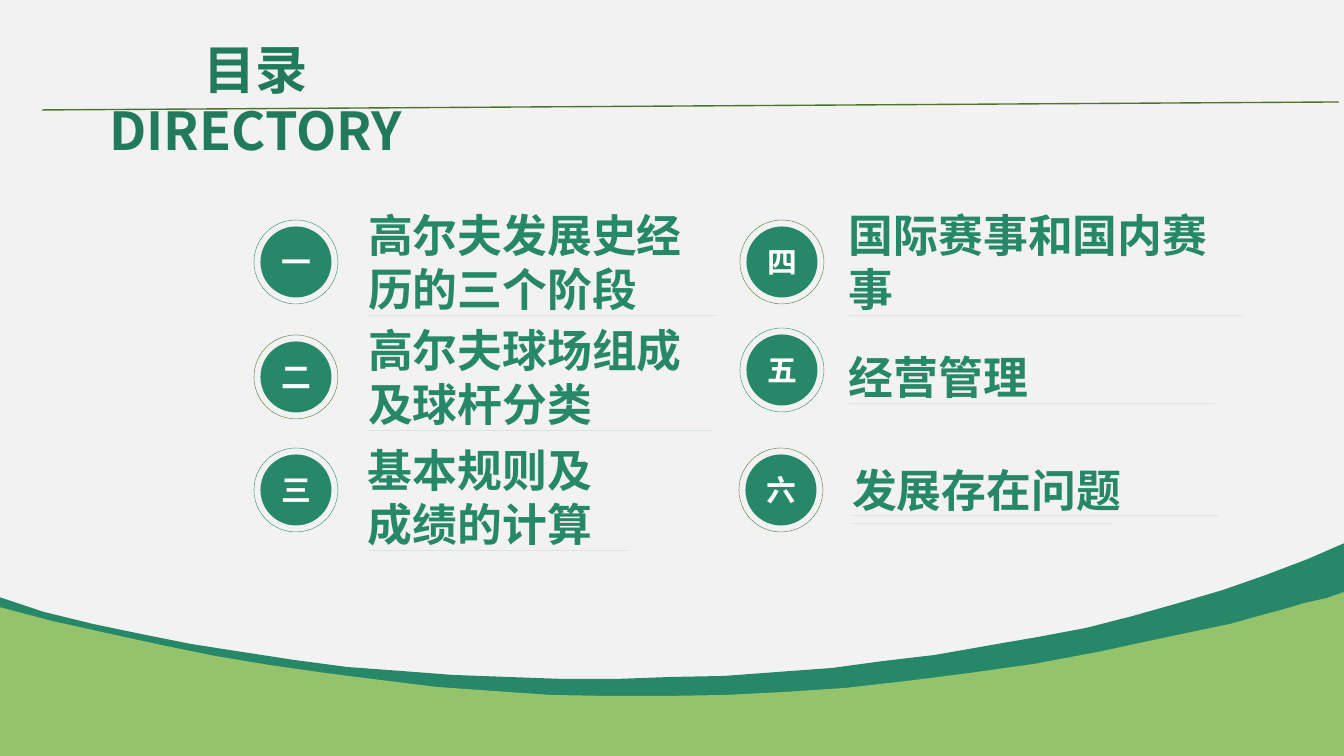
from lxml import etree
from pptx import Presentation
from pptx.dml.color import RGBColor
from pptx.enum.dml import MSO_LINE
from pptx.enum.shapes import MSO_CONNECTOR, MSO_SHAPE
from pptx.enum.text import MSO_ANCHOR, MSO_AUTO_SIZE, PP_ALIGN
from pptx.oxml.ns import qn
from pptx.util import Pt

STRAIGHT = MSO_CONNECTOR.STRAIGHT
OVAL = MSO_SHAPE.OVAL
DASH = MSO_LINE.SQUARE_DOT
TOP, MIDDLE = MSO_ANCHOR.TOP, MSO_ANCHOR.MIDDLE
LEFT, CENTER = PP_ALIGN.LEFT, PP_ALIGN.CENTER
NO_AUTOFIT = MSO_AUTO_SIZE.NONE

SCALE = 914400 / 134.4
WIDTH, HEIGHT = 1344, 756
DISC, RING = 71, 84
CJK_FONT = "Noto Sans CJK SC"
COLORS = {
    "background": "F2F2F2",
    "teal": "268868",
    "title": "227A5C",
    "grass": "95C36B",
    "olive": "50742F",
    "rule": "4E732C",
    "white": "FFFFFF",
}

ENTRIES = [
    ("一", "高尔夫发展史经历的三个阶段", (296, 262), (368, 207, 348, 109), "teal"),
    ("二", "高尔夫球场组成及球杆分类", (296, 377), (368, 322, 344, 109), "olive"),
    ("三", "基本规则及成绩的计算", (296, 490), (368, 442, 260, 109), "teal"),
    ("四", "国际赛事和国内赛事", (782, 262), (849, 207, 394, 109), "olive"),
    ("五", "经营管理", (782, 370), (849, 349, 366, 54), "teal"),
    ("六", "发展存在问题", (781, 490), (852, 462, 366, 54), "olive"),
]
SHORT_UNDERLINE = (852, 469, 260, 54)

TEAL_CURVE = [
    (1347, 542), (1308, 559), (1266, 575), (1223, 590), (1179, 603), (1133, 616),
    (1086, 628), (1038, 637), (986, 646), (935, 655), (884, 661), (832, 668),
    (778, 672), (724, 676), (671, 677), (617, 679), (562, 679), (508, 677),
    (453, 675), (401, 671), (347, 667), (294, 660), (242, 652), (191, 644),
    (141, 634), (93, 624), (44, 612), (-1, 597),
]
GRASS_CURVE = [
    (1347, 591), (1327, 598), (1305, 603), (1281, 610), (1255, 617), (1230, 624),
    (1163, 638), (1098, 652), (1034, 664), (970, 673), (907, 681), (845, 688),
    (785, 692), (726, 695), (667, 696), (607, 696), (551, 695), (493, 691),
    (437, 687), (380, 680), (325, 673), (269, 665), (215, 656), (161, 645),
    (106, 633), (52, 621), (-1, 607),
]


def px(value):
    return round(value * SCALE)


def color(name):
    return RGBColor.from_string(COLORS[name])


def fill_plain(shape, name):
    shape.shadow.inherit = False
    shape.fill.solid()
    shape.fill.fore_color.rgb = color(name)
    shape.line.fill.background()


def write(shape, text, size, font_name, color_name, alignment, anchor, insets, spacing=None):
    frame = shape.text_frame
    frame.text = text
    frame.word_wrap = True
    frame.auto_size = NO_AUTOFIT
    frame.vertical_anchor = anchor
    frame.margin_left = frame.margin_right = px(insets[0])
    frame.margin_top = frame.margin_bottom = px(insets[1])
    para = frame.paragraphs[0]
    para.alignment = alignment
    if spacing:
        para.line_spacing = Pt(spacing)
    span = para.runs[0]
    span.font.size = Pt(size)
    span.font.bold = True
    span.font.name = font_name
    span.font.color.rgb = color(color_name)
    east_asian = etree.Element(qn("a:ea"), typeface=CJK_FONT)
    span.font._element.find(qn("a:latin")).addnext(east_asian)


def add_title(page):
    title = page.shapes.title
    title.left, title.top, title.width, title.height = map(px, (42, 30, 427, 73))
    write(title, "目录DIRECTORY", 28, CJK_FONT, "title", CENTER, TOP, (40, 8), 33)


def add_circle(shapes, center, diameter):
    left, top = (value - diameter / 2 for value in center)
    circle = shapes.add_shape(OVAL, px(left), px(top), px(diameter), px(diameter))
    circle.shadow.inherit = False
    return circle


def add_badge(shapes, numeral, center, ring_color):
    disc = add_circle(shapes, center, DISC)
    fill_plain(disc, "teal")
    write(disc, numeral, 16, "Calibri", "white", CENTER, MIDDLE, (9, 5))
    ring = add_circle(shapes, center, RING)
    ring.fill.background()
    ring.line.color.rgb = color(ring_color)
    ring.line.width = Pt(0.25)
    ring.line.dash_style = DASH


def add_underlined(shapes, bounds):
    left, top, width, height = bounds
    bottom = top + height
    builder = shapes.build_freeform(left, bottom, SCALE)
    builder.add_line_segments([(left + width, bottom), (left, bottom)], close=True)
    builder.move_to(left, top)
    builder.add_line_segments([(left, top)], close=True)
    box = builder.convert_to_shape()
    fill_plain(box, "teal")
    return box


def add_entry(page, numeral, text, center, bounds, ring_color):
    group = page.shapes.add_group_shape()
    add_badge(group.shapes, numeral, center, ring_color)
    box = add_underlined(group.shapes, bounds)
    write(box, text, 24, "Arial", "teal", LEFT, MIDDLE, (0, 0), 29)


def add_hill(page, curve, color_name):
    builder = page.shapes.build_freeform(*curve[0], SCALE)
    builder.add_line_segments(curve[1:] + [(-1, 757), (1347, 757)], close=True)
    fill_plain(builder.convert_to_shape(), color_name)


def add_rule(page):
    rule = page.shapes.add_connector(STRAIGHT, px(42), px(110), px(1339), px(102))
    rule.line.color.rgb = color("rule")
    rule.line.width = Pt(0.75)
    etree.SubElement(rule._element.spPr, qn("a:effectLst"))


def main():
    deck = Presentation()
    deck.slide_width, deck.slide_height = px(WIDTH), px(HEIGHT)
    page = deck.slides.add_slide(deck.slide_layouts[5])
    page.background.fill.solid()
    page.background.fill.fore_color.rgb = color("background")
    add_title(page)
    for entry in ENTRIES:
        add_entry(page, *entry)
    add_underlined(page.shapes, SHORT_UNDERLINE)
    add_hill(page, TEAL_CURVE, "teal")
    add_hill(page, GRASS_CURVE, "grass")
    add_rule(page)
    deck.save("out.pptx")


if __name__ == "__main__":
    main()
